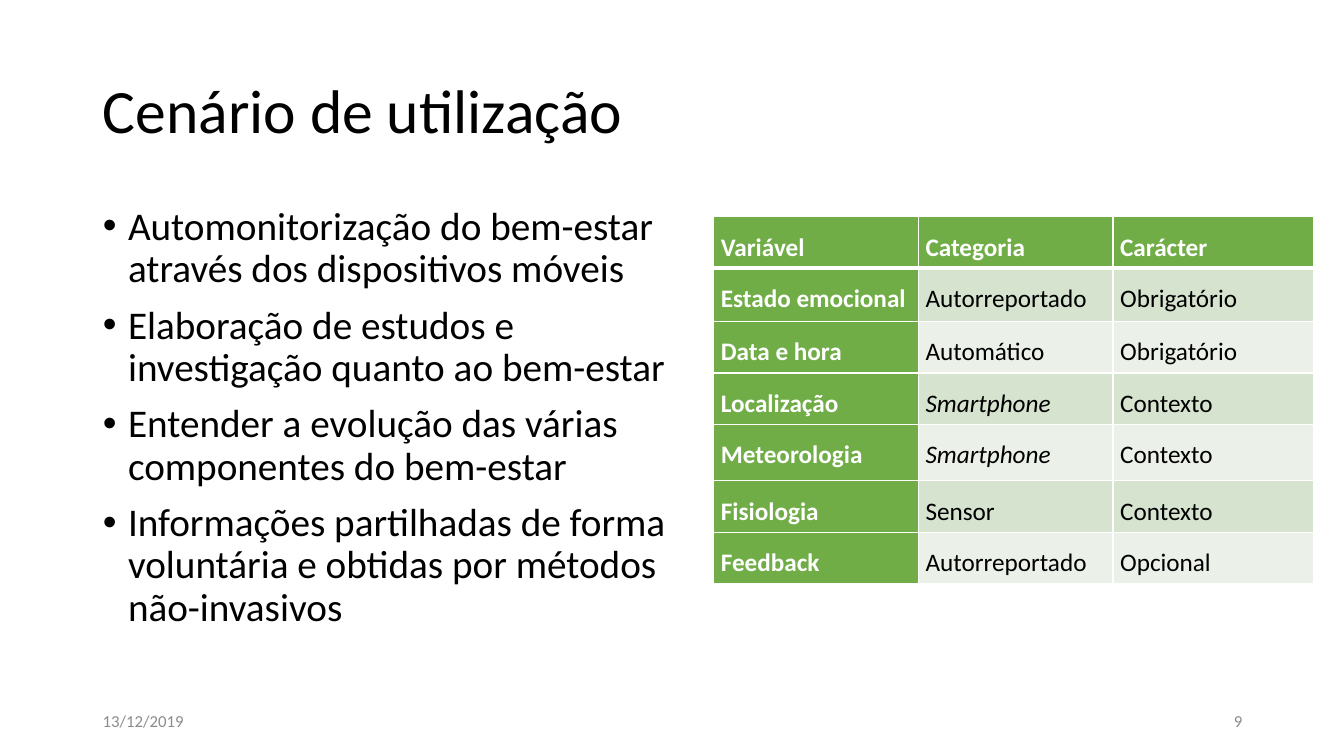
from dataclasses import dataclass
from typing import NamedTuple

from lxml.etree import SubElement
from pptx import Presentation
from pptx.dml.color import RGBColor
from pptx.enum.text import MSO_ANCHOR, MSO_AUTO_SIZE, PP_ALIGN
from pptx.oxml.ns import qn
from pptx.util import Inches, Pt


@dataclass(frozen=True)
class Theme:
    font: str = "Calibri"
    title_size: int = 44
    body_size: int = 28
    table_size: int = 18
    footer_size: int = 12
    text: str = "000000"
    muted: str = "8C8C8C"
    white: str = "FFFFFF"
    green: str = "70AD47"
    bands: tuple[str, str] = ("D5E3CF", "EBF1E9")


class Area(NamedTuple):
    left: float
    top: float
    width: float
    height: float

    def lengths(self):
        return [Inches(value) for value in self]


class Footer(NamedTuple):
    text: str
    area: Area
    align: PP_ALIGN


class Variable(NamedTuple):
    name: str
    category: str
    character: str


THEME = Theme()
TITLE_AREA = Area(0.92, 0.4, 11.5, 1.45)
BODY_AREA = Area(0.92, 2, 5.96, 4.76)
TABLE_AREA = Area(7.08, 2.15, 5.95, 3.64)
COLUMN_WIDTHS = (2.03, 1.93, 1.99)
ROW_HEIGHTS = (0.51, 0.53, 0.51, 0.51, 0.56, 0.51, 0.51)
GOALS = (
    "Automonitorização do bem-estar através dos dispositivos móveis",
    "Elaboração de estudos e investigação quanto ao bem-estar",
    "Entender a evolução das várias componentes do bem-estar",
    "Informações partilhadas de forma voluntária e obtidas por métodos não-invasivos",
)
VARIABLES = (
    Variable("Variável", "Categoria", "Carácter"),
    Variable("Estado emocional", "Autorreportado", "Obrigatório"),
    Variable("Data e hora", "Automático", "Obrigatório"),
    Variable("Localização", "Smartphone", "Contexto"),
    Variable("Meteorologia", "Smartphone", "Contexto"),
    Variable("Fisiologia", "Sensor", "Contexto"),
    Variable("Feedback", "Autorreportado", "Opcional"),
)
FOOTERS = (
    Footer("13/12/2019", Area(0.92, 6.95, 3, 0.4), PP_ALIGN.LEFT),
    Footer("9", Area(9.42, 6.95, 3, 0.4), PP_ALIGN.RIGHT),
)


def write(para, text: str, *, size: int, color: str = THEME.text, bold: bool = False,
          italic: bool = False, align: PP_ALIGN = PP_ALIGN.LEFT, line: float = 1.0,
          before: float = 0, after: float = 0) -> None:
    para.alignment = align
    para.line_spacing = line
    para.space_before, para.space_after = Pt(before), Pt(after)
    span = para.add_run()
    span.text = text
    span.font.name, span.font.size = THEME.font, Pt(size)
    span.font.bold, span.font.italic = bold, italic
    span.font.color.rgb = RGBColor.from_string(color)


def prepare(shape, area: Area, anchor: MSO_ANCHOR):
    shape.left, shape.top, shape.width, shape.height = area.lengths()
    frame = shape.text_frame
    frame.word_wrap = True
    frame.auto_size = MSO_AUTO_SIZE.NONE
    frame.vertical_anchor = anchor
    return frame


def add_bullet(para) -> None:
    properties = para._p.get_or_add_pPr()
    properties.set("marL", str(Inches(0.25)))
    properties.set("indent", str(-Inches(0.25)))
    SubElement(properties, qn("a:buFont"), typeface="Arial")
    SubElement(properties, qn("a:buChar"), char="•")


def add_border(cell, side: str, width: float) -> None:
    border = SubElement(cell._tc.get_or_add_tcPr(), qn(f"a:ln{side}"), w=str(Pt(width)))
    SubElement(SubElement(border, qn("a:solidFill")), qn("a:srgbClr"), val=THEME.white)


def add_goals(body) -> None:
    frame = prepare(body, BODY_AREA, MSO_ANCHOR.TOP)
    for index, goal in enumerate(GOALS):
        para = frame.add_paragraph() if index else frame.paragraphs[0]
        add_bullet(para)
        write(para, goal, size=THEME.body_size, line=0.9, before=10 if index else 0)


def format_cell(cell, text: str, row: int, column: int) -> None:
    heading = row == 0 or column == 0
    # Thick rule between the header and the first row
    widths = {"L": 1, "R": 1, "T": 3 if row == 1 else 1, "B": 3 if row == 0 else 1}
    for side, width in widths.items():
        add_border(cell, side, width)
    cell.fill.solid()
    fill = THEME.green if heading else THEME.bands[(row - 1) % 2]
    cell.fill.fore_color.rgb = RGBColor.from_string(fill)
    cell.margin_left = cell.margin_right = Inches(0.07)
    cell.margin_top = cell.margin_bottom = 0
    write(cell.text_frame.paragraphs[0], text, size=THEME.table_size,
          color=THEME.white if heading else THEME.text, bold=heading,
          italic=text == "Smartphone", align=PP_ALIGN.JUSTIFY, line=1.5, after=6)


def add_variables(page) -> None:
    table = page.shapes.add_table(len(VARIABLES), len(COLUMN_WIDTHS),
                                  *TABLE_AREA.lengths()).table
    table.first_col = True
    for column, width in zip(table.columns, COLUMN_WIDTHS):
        column.width = Inches(width)
    for row, height in zip(table.rows, ROW_HEIGHTS):
        row.height = Inches(height)
    for row, variable in enumerate(VARIABLES):
        for column, text in enumerate(variable):
            format_cell(table.cell(row, column), text, row, column)


def add_footer(page, footer: Footer) -> None:
    box = page.shapes.add_textbox(*footer.area.lengths())
    frame = prepare(box, footer.area, MSO_ANCHOR.MIDDLE)
    write(frame.paragraphs[0], footer.text, size=THEME.footer_size,
          color=THEME.muted, align=footer.align)


def main() -> None:
    deck = Presentation()
    deck.slide_width, deck.slide_height = Inches(13.33), Inches(7.5)
    page = deck.slides.add_slide(deck.slide_layouts[1])

    # Title and list
    title = prepare(page.shapes.title, TITLE_AREA, MSO_ANCHOR.MIDDLE)
    write(title.paragraphs[0], "Cenário de utilização", size=THEME.title_size, line=0.9)
    add_goals(page.placeholders[1])

    # Date and page number
    for footer in FOOTERS:
        add_footer(page, footer)

    # Table of variables
    add_variables(page)
    deck.save("out.pptx")


if __name__ == "__main__":
    main()
